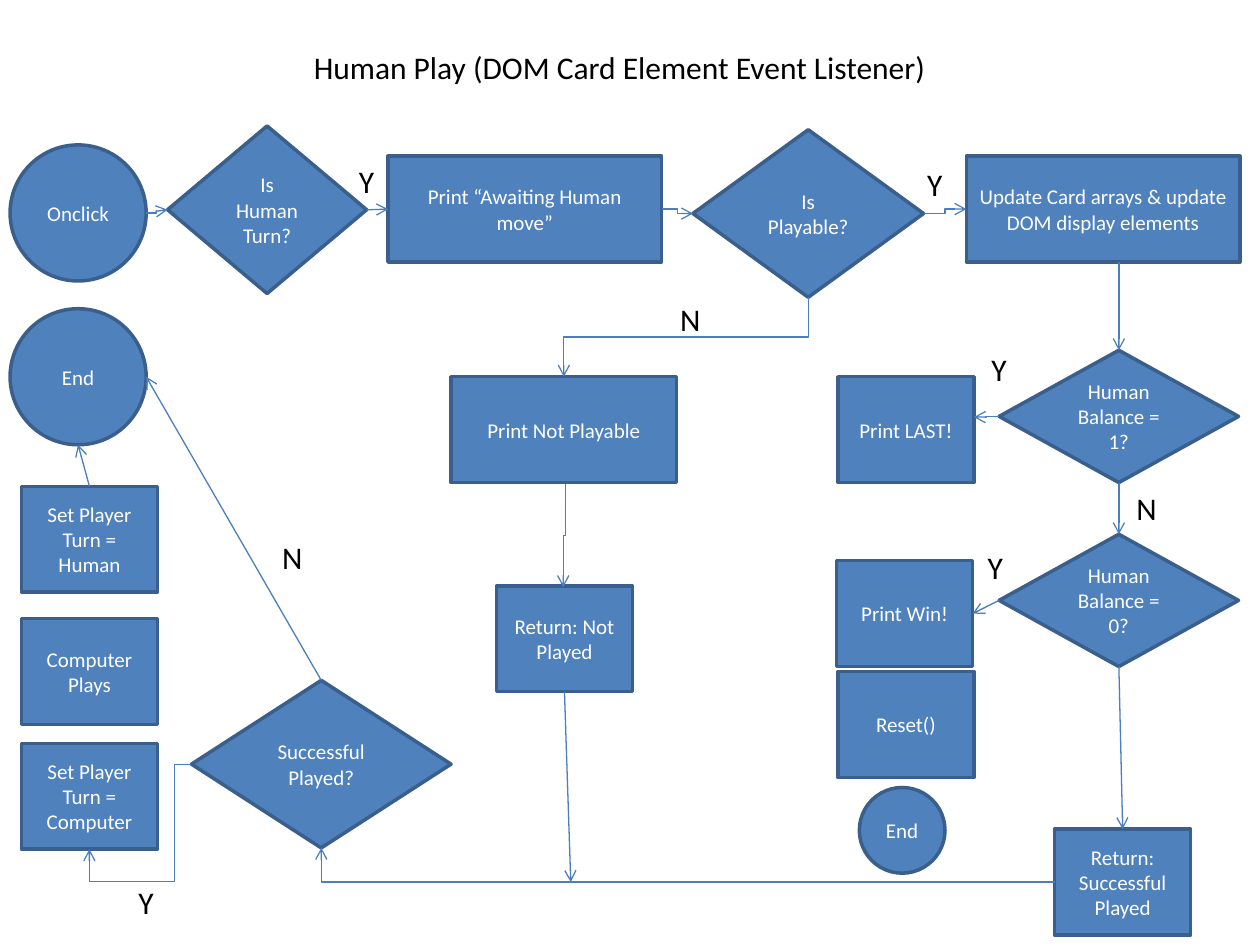
from lxml import etree
from pptx import Presentation
from pptx.dml.color import RGBColor
from pptx.enum.shapes import MSO_CONNECTOR, MSO_SHAPE
from pptx.enum.text import MSO_ANCHOR, MSO_AUTO_SIZE, PP_ALIGN
from pptx.oxml.ns import qn
from pptx.util import Inches, Pt

CIRCLE = MSO_SHAPE.FLOWCHART_CONNECTOR
DECISION = MSO_SHAPE.FLOWCHART_DECISION
PROCESS = MSO_SHAPE.FLOWCHART_PROCESS
STRAIGHT, ELBOW = MSO_CONNECTOR.STRAIGHT, MSO_CONNECTOR.ELBOW
LEFT, CENTER = PP_ALIGN.LEFT, PP_ALIGN.CENTER
TOP, MIDDLE = MSO_ANCHOR.TOP, MSO_ANCHOR.MIDDLE
FIT_SHAPE = MSO_AUTO_SIZE.SHAPE_TO_FIT_TEXT
COLORS = {"fill": "4F81BD", "border": "3A5F8C", "arrow": "4B7EBC",
          "node_text": "FFFFFF", "label": "000000"}
FONT = "Calibri"

TITLE = ("Human Play (DOM Card Element Event Listener)", 2.39, 0.33, 5.11)
BOX = (1.08, 0.84)
WIDE_BOX = (2.17, 0.84)
BALANCE = (1.9, 1.05)

# name: (kind, text, left, top, (width, height))
NODES = {
    "onclick": (CIRCLE, "Onclick", 0.08, 1.15, (1.08, 1.08)),
    "human_turn": (DECISION, "Is Human Turn?", 1.33, 1, (1.58, 1.33)),
    "awaiting": (PROCESS, "Print “Awaiting Human move”", 3.08, 1.24, WIDE_BOX),
    "playable": (DECISION, "Is Playable?", 5.5, 1.03, (1.83, 1.33)),
    "update": (PROCESS, "Update Card arrays & update DOM display elements",
               7.67, 1.24, WIDE_BOX),
    "balance_one": (DECISION, "Human Balance = 1?", 7.93, 2.78, BALANCE),
    "print_last": (PROCESS, "Print LAST!", 6.65, 2.99, BOX),
    "balance_zero": (DECISION, "Human Balance = 0?", 7.93, 4.24, BALANCE),
    "print_win": (PROCESS, "Print Win!", 6.64, 4.45, BOX),
    "reset": (PROCESS, "Reset()", 6.65, 5.33, BOX),
    "win_end": (CIRCLE, "End", 6.82, 6.25, (0.68, 0.68)),
    "return_played": (PROCESS, "Return: Successful Played", 8.37, 6.58, BOX),
    "not_playable": (PROCESS, "Print Not Playable", 3.58, 2.99, (1.79, 0.84)),
    "return_not": (PROCESS, "Return: Not Played", 3.94, 4.65, BOX),
    "successful": (DECISION, "Successful Played?", 1.52, 5.4, (2.06, 1.33)),
    "set_computer": (PROCESS, "Set Player Turn = Computer", 0.17, 5.9, BOX),
    "computer_plays": (PROCESS, "Computer Plays", 0.17, 4.91, BOX),
    "set_human": (PROCESS, "Set Player Turn = Human", 0.17, 3.86, BOX),
    "end": (CIRCLE, "End", 0.08, 2.45, (1.08, 1.08)),
}

# (start, end, format); an end is a (node, side) pair or an (x, y) point
DOWN = {"preset": "bentConnector3", "vertical": True}
ACROSS = {"preset": "bentConnector3"}
ARROWS = [
    (("onclick", "right"), ("human_turn", "left"), ACROSS),
    (("human_turn", "right"), ("awaiting", "left"), {}),
    (("awaiting", "right"), ("playable", "left"), ACROSS),
    (("playable", "right"), ("update", "left"), ACROSS),
    ((8.88, 2.08), ("balance_one", "top"), {}),
    (("balance_one", "left"), (7.73, 3.31), ACROSS),
    (("balance_one", "bottom"), ("balance_zero", "top"), {}),
    (("balance_zero", "left"), ("print_win", "right"), {}),
    (("balance_zero", "bottom"), ("return_played", "top"), {}),
    (("return_played", "left"), ("successful", "bottom"),
     {"preset": "bentConnector2"}),
    (("playable", "bottom"), ("not_playable", "top"), DOWN),
    ((4.49, 3.84), (4.47, 4.66), DOWN),
    (("return_not", "bottom"), (4.53, 7), {}),
    (("successful", "left"), ("set_computer", "bottom"),
     {"preset": "bentConnector4", "adjust": (16600, 137500)}),
    (("successful", "top"), ("end", "right"), {}),
    (("set_human", "top"), ("end", "bottom"), {}),
]

LABELS = [("Y", 2.75, 1.24), ("Y", 7.26, 1.26), ("N", 5.3, 2.33),
          ("Y", 7.77, 2.73), ("N", 8.92, 3.83), ("Y", 7.74, 4.3),
          ("Y", 1, 6.96), ("N", 2.14, 4.22)]
LABEL_WIDTHS = {"Y": 0.32, "N": 0.36}
LABEL_HEIGHT = 0.4


def set_all(target, values):
    """Set each attribute named in a dict of format values."""
    for name, value in values.items():
        setattr(target, name, value)


def place(shape, left, top, width, height):
    """Position a shape by lengths in inches."""
    set_all(shape, {"left": Inches(left), "top": Inches(top),
                    "width": Inches(width), "height": Inches(height)})


def write(shape, text, size, color, alignment, frame_format):
    """Put one formatted paragraph into a shape."""
    frame = shape.text_frame
    frame.text = text
    set_all(frame, frame_format)
    paragraph = frame.paragraphs[0]
    paragraph.alignment = alignment
    font = paragraph.runs[0].font
    set_all(font, {"name": FONT, "size": Pt(size)})
    font.color.rgb = RGBColor.from_string(COLORS[color])


def write_label(shape, text):
    """Write plain, unwrapped text from the top left."""
    write(shape, text, 18, "label", LEFT,
          {"word_wrap": False, "vertical_anchor": TOP,
           "auto_size": FIT_SHAPE})


def set_line(line, color, width):
    """Colour a line and set its width in points."""
    line.color.rgb = RGBColor.from_string(COLORS[color])
    line.width = Pt(width)


def add_node(slide, kind, text, left, top, size):
    """Add one flowchart symbol with centred text."""
    shape = slide.shapes.add_shape(kind, 0, 0, 0, 0)
    place(shape, left, top, *size)
    shape.shadow.inherit = False
    shape.fill.solid()
    shape.fill.fore_color.rgb = RGBColor.from_string(COLORS["fill"])
    set_line(shape.line, "border", 2)
    write(shape, text, 12, "node_text", CENTER,
          {"word_wrap": True, "vertical_anchor": MIDDLE})


def find_point(end):
    """Return the x and y of an arrow's end."""
    if end[0] not in NODES:
        return end
    _, _, left, top, (width, height) = NODES[end[0]]
    across, down = {"top": (0.5, 0), "left": (0, 0.5),
                    "bottom": (0.5, 1), "right": (1, 0.5)}[end[1]]
    return left + width * across, top + height * down


def add_arrow(slide, start, end, preset=None, vertical=False, adjust=()):
    """Add a straight or bent connector with an open arrowhead."""
    (x1, y1), (x2, y2) = find_point(start), find_point(end)
    if vertical:  # turned a quarter: runs down, then left, then down
        middle_x, middle_y = (x1 + x2) / 2, (y1 + y2) / 2
        half_run, half_shift = (y2 - y1) / 2, (x1 - x2) / 2
        x1, x2 = middle_x - half_run, middle_x + half_run
        y1, y2 = middle_y - half_shift, middle_y + half_shift
    arrow = slide.shapes.add_connector(
        ELBOW if preset else STRAIGHT,
        Inches(x1), Inches(y1), Inches(x2), Inches(y2))
    set_line(arrow.line, "arrow", 0.75)
    properties = arrow.element.spPr
    etree.SubElement(properties.find(qn("a:ln")), qn("a:tailEnd"), type="arrow")
    etree.SubElement(properties, qn("a:effectLst"))
    if vertical:
        properties.find(qn("a:xfrm")).set("rot", "5400000")
    if preset:
        geometry = properties.find(qn("a:prstGeom"))
        geometry.set("prst", preset)
        guides = geometry.find(qn("a:avLst"))
        for number, value in enumerate(adjust, 1):
            etree.SubElement(guides, qn("a:gd"), name=f"adj{number}",
                             fmla=f"val {value}")


presentation = Presentation()
set_all(presentation, {"slide_width": Inches(10), "slide_height": Inches(7.5)})
slide = presentation.slides.add_slide(presentation.slide_layouts[5])
title_text, *title_place = TITLE
place(slide.shapes.title, *title_place, LABEL_HEIGHT)
write_label(slide.shapes.title, title_text)
for node in NODES.values():
    add_node(slide, *node)
for start, end, arrow_format in ARROWS:
    add_arrow(slide, start, end, **arrow_format)
for text, left, top in LABELS:
    label = slide.shapes.add_textbox(0, 0, 0, 0)
    place(label, left, top, LABEL_WIDTHS[text], LABEL_HEIGHT)
    write_label(label, text)
presentation.save("out.pptx")
